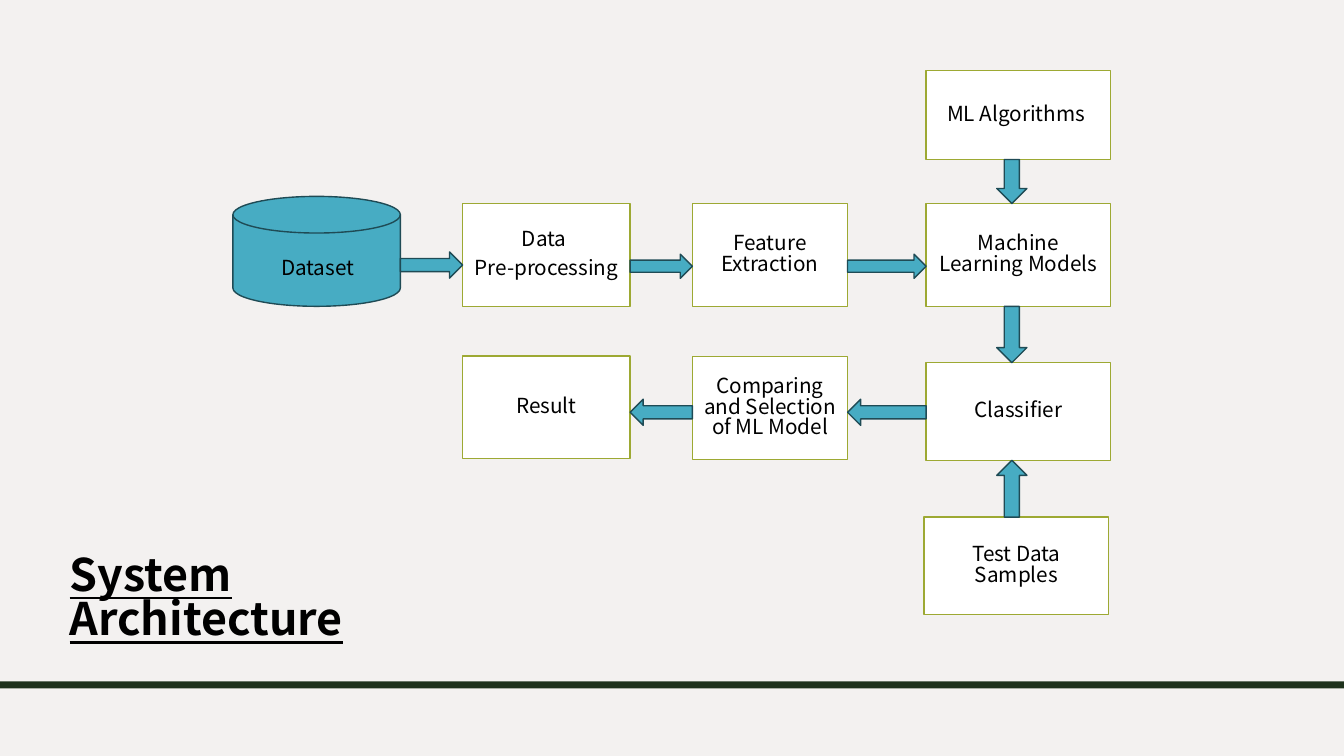
from lxml.etree import SubElement
from pptx import Presentation
from pptx.dml.color import RGBColor
from pptx.enum.shapes import MSO_SHAPE
from pptx.enum.text import MSO_ANCHOR, MSO_AUTO_SIZE, PP_ALIGN
from pptx.oxml.ns import qn
from pptx.util import Cm, Pt

FONT = "Noto Sans CJK JP"
COLORS = {
    "background": "F3F1F0",
    "bar": "1D311B",
    "teal": "47ACC3",
    "teal_line": "1F4B55",
    "box": "FFFFFF",
    "box_line": "9DA933",
    "text": "000000",
}
LABEL = {"size": Pt(14.8), "name": FONT}
TITLE = {"size": Pt(32), "name": FONT, "bold": True, "underline": True}

# Steps: left, top, width, height in cm, then one string per paragraph
STEPS = {
    "prepare": (11.66, 5.13, 4.22, 2.59, ["Data ", "Pre-processing"]),
    "extract": (17.45, 5.13, 3.91, 2.59, ["Feature Extraction"]),
    "models": (23.34, 5.13, 4.65, 2.59, ["Machine Learning Models"]),
    "algorithms": (23.34, 1.78, 4.65, 2.24, ["ML Algorithms "]),
    "classifier": (23.34, 9.14, 4.65, 2.46, ["Classifier"]),
    "samples": (23.29, 13.03, 4.65, 2.46, ["Test Data Samples"]),
    "compare": (17.45, 8.99, 3.91, 2.59, ["Comparing and Selection of ML Model"]),
    "result": (11.66, 8.97, 4.22, 2.59, ["Result"]),
}
DATASET = (5.87, 4.95, 4.22, 2.77)

# Arrows: from, to, thickness and centre line in cm
ACROSS = [
    ("dataset", "prepare", 0.66, 6.68),
    ("prepare", "extract", 0.61, 6.71),
    ("extract", "models", 0.61, 6.71),
    ("classifier", "compare", 0.66, 10.39),
    ("compare", "result", 0.66, 10.39),
]
VERTICAL = [
    ("algorithms", "models", 0.76, 25.5),
    ("models", "classifier", 0.76, 25.5),
    ("samples", "classifier", 0.76, 25.5),
]


def rgb(name):
    return RGBColor.from_string(COLORS[name])


def add_text(tf, paragraphs, fmt, align, after=0):
    tf.word_wrap = True
    for i, text in enumerate(paragraphs):
        p = tf.paragraphs[0] if i == 0 else tf.add_paragraph()
        p.alignment = align
        p.line_spacing = 0.83
        p.space_before, p.space_after = Pt(0), Pt(after)
        r = p.add_run()
        r.text = text
        for attr, value in fmt.items():
            setattr(r.font, attr, value)
        r.font.color.rgb = rgb("text")
        # Same typeface for East Asian text
        SubElement(r.font._element, qn("a:ea"), typeface=FONT)


def add_block(slide, kind, frame, fill, line=None):
    sp = slide.shapes.add_shape(kind, *(Cm(v) for v in frame))
    sp.shadow.inherit = False
    sp.fill.solid()
    sp.fill.fore_color.rgb = rgb(fill)
    if line:
        sp.line.color.rgb = rgb(line)
        sp.line.width = Pt(1)
    else:
        sp.line.fill.background()
    return sp


def add_step(slide, left, top, width, height, paragraphs):
    sp = add_block(slide, MSO_SHAPE.RECTANGLE, (left, top, width, height), "box", "box_line")
    sp.text_frame.vertical_anchor = MSO_ANCHOR.MIDDLE
    add_text(sp.text_frame, paragraphs, LABEL, PP_ALIGN.CENTER, after=6)


def gap(start, length, other_start, other_length):
    """Return the start and length of the space between two spans, and if it runs forward."""
    if start < other_start:
        return start + length, other_start - start - length, True
    return other_start + other_length, start - other_start - other_length, False


def add_arrows(slide, frames):
    for src, dst, thick, centre in ACROSS:
        a, b = frames[src], frames[dst]
        left, width, forward = gap(a[0], a[2], b[0], b[2])
        kind = MSO_SHAPE.RIGHT_ARROW if forward else MSO_SHAPE.LEFT_ARROW
        add_block(slide, kind, (left, centre - thick / 2, width, thick), "teal", "teal_line")
    for src, dst, thick, centre in VERTICAL:
        a, b = frames[src], frames[dst]
        top, height, forward = gap(a[1], a[3], b[1], b[3])
        kind = MSO_SHAPE.DOWN_ARROW if forward else MSO_SHAPE.UP_ARROW
        add_block(slide, kind, (centre - thick / 2, top, thick, height), "teal", "teal_line")


def add_title(slide):
    sp = slide.shapes.title
    sp.left, sp.top, sp.width, sp.height = Cm(1.5), Cm(13.87), Cm(10.06), Cm(3)
    tf = sp.text_frame
    tf.auto_size = MSO_AUTO_SIZE.NONE
    tf.vertical_anchor = MSO_ANCHOR.TOP
    add_text(tf, ["System Architecture"], TITLE, PP_ALIGN.LEFT)


def add_dataset(slide):
    add_block(slide, MSO_SHAPE.FLOWCHART_MAGNETIC_DISK, DATASET, "teal", "teal_line")
    tb = slide.shapes.add_textbox(Cm(6.53), Cm(6.4), Cm(2.95), Cm(0.89))
    add_text(tb.text_frame, ["Dataset"], LABEL, PP_ALIGN.CENTER, after=6)


def main():
    prs = Presentation()
    prs.slide_width, prs.slide_height = Cm(33.87), Cm(19.05)
    slide = prs.slides.add_slide(prs.slide_layouts[5])

    # Background, bar and title
    slide.background.fill.solid()
    slide.background.fill.fore_color.rgb = rgb("background")
    add_block(slide, MSO_SHAPE.RECTANGLE, (0, 17.17, 33.87, 0.18), "bar")
    add_title(slide)

    # Flow diagram
    add_dataset(slide)
    for step in STEPS.values():
        add_step(slide, *step)
    add_arrows(slide, {"dataset": DATASET, **STEPS})

    prs.save("out.pptx")


if __name__ == "__main__":
    main()
